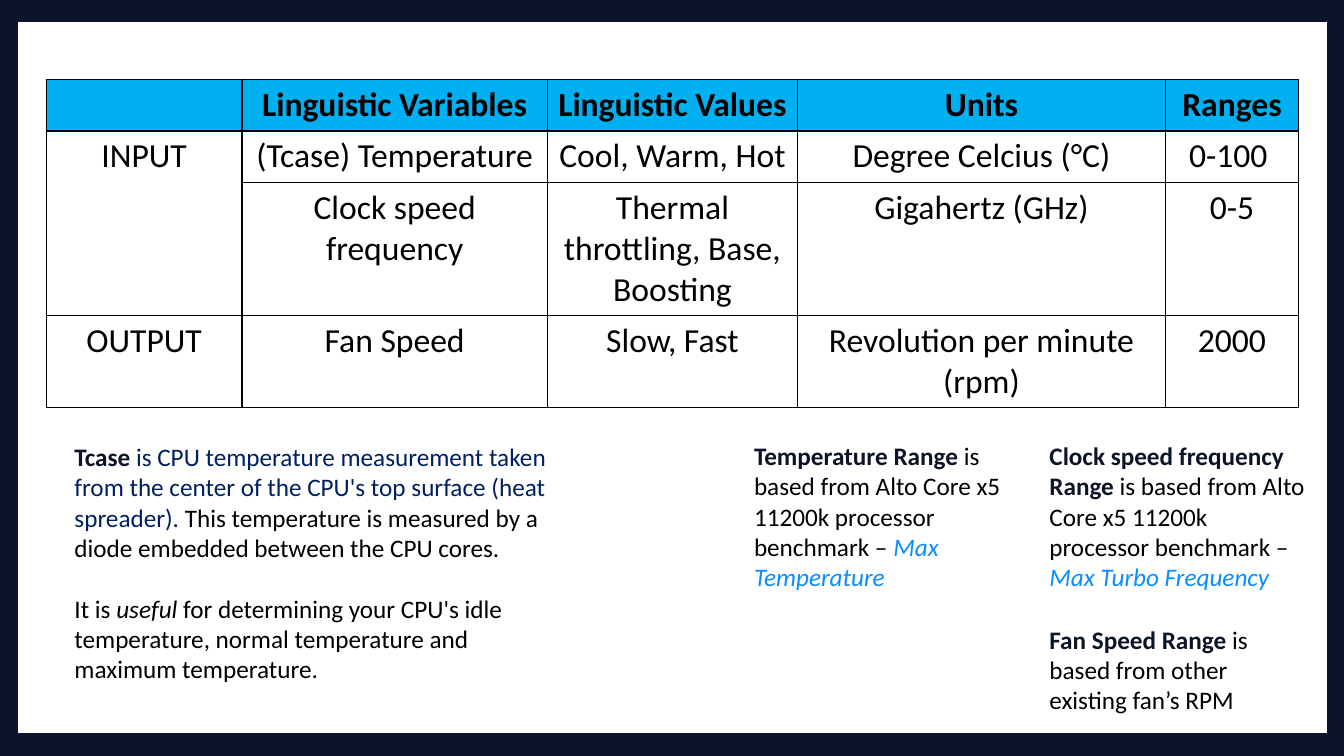
from lxml import etree
from pptx import Presentation
from pptx import util as u
from pptx.dml.color import RGBColor
from pptx.enum import shapes, text
from pptx.oxml.ns import qn

NAVY, WHITE, BLACK = "0C1429", "FFFFFF", "000000"
HEADER, INK, LINK = "00B0F0", "002060", "0B8DFD"


def rgb(value):
    return RGBColor.from_string(value)


class Deck:
    font = "Calibri"

    def __init__(self, prs):
        self.s = prs.slides.add_slide(prs.slide_layouts[6])

    def panel(self, x, y, w, h, color):
        sp = self.s.shapes.add_shape(shapes.MSO_SHAPE.RECTANGLE, *map(u.Inches, (x, y, w, h)))
        sp.shadow.inherit = False
        sp.fill.solid()
        sp.fill.fore_color.rgb = rgb(color)
        sp.line.fill.background()

    def run(self, p, words, size, color=BLACK, bold=False, italic=False):
        r = p.add_run()
        r.text = words
        f = r.font
        f.name, f.size, f.bold, f.italic = self.font, u.Pt(size), bold, italic
        f.color.rgb = rgb(color)

    def note(self, x, y, w, h, *paragraphs):
        tf = self.s.shapes.add_textbox(*map(u.Inches, (x, y, w, h))).text_frame
        tf.word_wrap = True
        for i, runs in enumerate(paragraphs):
            p = tf.add_paragraph() if i else tf.paragraphs[0]
            if i:
                p.space_before = u.Pt(22)
            for words, *style in runs:
                self.run(p, words, 18, *style)

    def border(self, cell):
        tcPr = cell._tc.get_or_add_tcPr()
        for i, side in enumerate(("lnL", "lnR", "lnT", "lnB")):
            ln = etree.Element(qn("a:" + side), w=str(u.Pt(1)))
            fill = etree.SubElement(ln, qn("a:solidFill"))
            etree.SubElement(fill, qn("a:srgbClr"), val=BLACK)
            tcPr.insert(i, ln)

    def table(self, x, y, widths, heights, rows):
        size = map(u.Inches, (x, y, sum(widths), sum(heights)))
        table = self.s.shapes.add_table(len(rows), len(widths), *size).table
        table.horz_banding = False
        for col, w in zip(table.columns, widths):
            col.width = u.Inches(w)
        for row, h in zip(table.rows, heights):
            row.height = u.Inches(h)
        for i, row in enumerate(rows):
            for j, words in enumerate(row):
                cell = table.cell(i, j)
                cell.margin_left = cell.margin_right = u.Inches(0.07)
                cell.fill.solid()
                cell.fill.fore_color.rgb = rgb(WHITE if i else HEADER)
                self.border(cell)
                p = cell.text_frame.paragraphs[0]
                p.alignment = text.PP_ALIGN.CENTER
                if words:
                    self.run(p, words, 24, bold=i == 0)
        return table


def main():
    prs = Presentation()
    prs.slide_width, prs.slide_height = u.Inches(13.33), u.Inches(7.5)
    deck = Deck(prs)

    # Frame
    deck.panel(0, 0, 13.33, 7.5, NAVY)
    deck.panel(0.18, 0.22, 12.98, 7.05, WHITE)

    # Variables table
    variables = deck.table(0.46, 0.79, [1.94, 3.03, 2.48, 3.65, 1.32], [0.51, 0.51, 1.32, 0.91], [
        ["", "Linguistic Variables", "Linguistic Values", "Units", "Ranges"],
        ["INPUT", "(Tcase) Temperature", "Cool, Warm, Hot", "Degree Celcius (°C)", "0-100 "],
        ["", "Clock speed frequency", "Thermal throttling, Base, Boosting", "Gigahertz (GHz)", "0-5"],
        ["OUTPUT", "Fan Speed", "Slow, Fast", "Revolution per minute (rpm)", "2000"],
    ])
    variables.cell(1, 0).merge(variables.cell(2, 0))

    # Range notes
    benchmark = "is based from Alto Core x5 11200k processor benchmark – "
    for x, subject, measure in [(7.38, "Temperature Range ", "Max Temperature"),
                                (10.31, "Clock speed frequency Range ", "Max Turbo Frequency")]:
        deck.note(x, 4.32, 2.75, 1.62,
                  [(subject, NAVY, True), (benchmark,), (measure, LINK, False, True)])
    deck.note(10.31, 6.14, 2.26, 1.01,
              [("Fan Speed Range ", NAVY, True), ("is based from other existing fan’s RPM",)])

    # Tcase explanation
    deck.note(0.64, 4.33, 5.11, 2.83, [
        ("Tcase ", NAVY, True),
        ("is CPU temperature measurement taken from the center of the CPU's top surface "
         "(heat spreader). ", INK),
        ("This temperature is measured by a diode embedded between the CPU cores.",),
    ], [
        ("It is ",),
        ("useful", BLACK, False, True),
        (" for determining your CPU's idle temperature, normal temperature and "
         "maximum temperature.",),
    ])

    prs.save("out.pptx")


if __name__ == "__main__":
    main()
